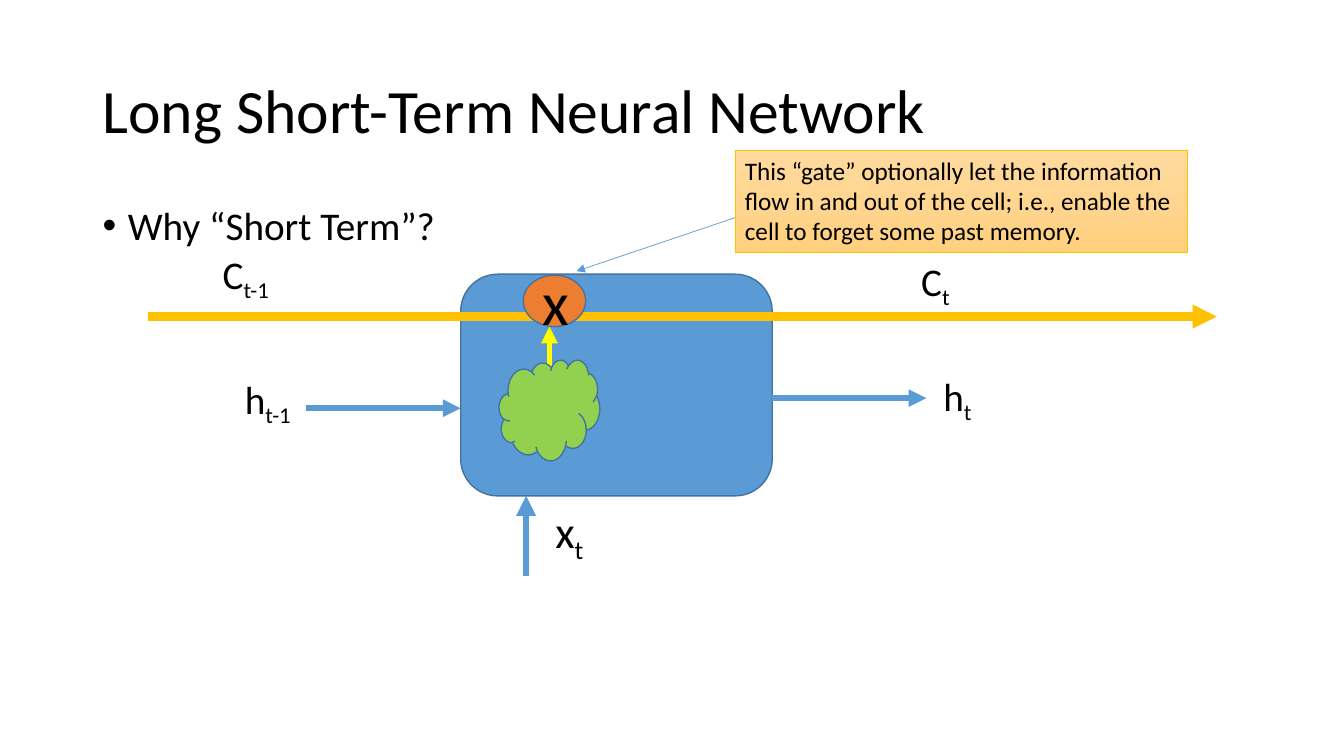
from copy import deepcopy

from pptx import Presentation
from pptx.dml.color import RGBColor
from pptx.enum.shapes import MSO_CONNECTOR, MSO_SHAPE
from pptx.enum.text import MSO_ANCHOR, MSO_AUTO_SIZE, PP_ALIGN
from pptx.oxml.ns import qn
from pptx.util import Inches, Pt

COLORS = {
    "text": "000000", "blue": "5B9BD5", "outline": "43739E", "gold": "FFC000",
    "orange": "ED7D31", "green": "92D050", "yellow": "FFFF00",
}
NOTE_STOPS = [(0, "FFDB9E"), (0.5, "FFD590"), (1, "FFD07C")]

prs = Presentation()
prs.slide_width, prs.slide_height = Inches(13.33), Inches(7.5)
s = prs.slides.add_slide(prs.slide_layouts[6])
COL, ROW = prs.slide_width / 100, prs.slide_height / 100  # 100 x 100 grid


def grid(*lengths):
    """Turn alternating columns and rows into slide lengths."""
    return [round(n * (ROW if i % 2 else COL)) for i, n in enumerate(lengths)]


def write(sp, lines, size, frame=None, para=None):
    """Fill a shape with lines; each line is a text and its subscript."""
    tf = sp.text_frame
    for name, value in (frame or {}).items():
        setattr(tf, name, value)
    for i, line in enumerate(lines):
        p = tf.add_paragraph() if i else tf.paragraphs[0]
        for name, value in {"alignment": PP_ALIGN.LEFT, **(para or {})}.items():
            setattr(p, name, value)
        for level, text in enumerate(line):
            r = p.add_run()
            r.text = text
            for name, value in {"name": "Calibri", "size": Pt(size)}.items():
                setattr(r.font, name, value)
            r.font.color.rgb = RGBColor.from_string(COLORS["text"])
            if level:
                r.font._element.set("baseline", "-25000")


# Title and bullet
title = s.shapes.add_textbox(*grid(6.9, 5.33, 86.25, 19.33))
write(title, [["Long Short-Term Neural Network"]], 44,
      {"word_wrap": True, "vertical_anchor": MSO_ANCHOR.MIDDLE}, {"line_spacing": 0.9})

body = s.shapes.add_textbox(*grid(6.9, 26.67, 86.25, 63.47))
write(body, [["Why “Short Term”?"]], 28, {"word_wrap": True},
      {"line_spacing": 0.9, "space_before": Pt(10)})
pPr = body.text_frame.paragraphs[0]._p.get_or_add_pPr()
pPr.set("marL", str(Inches(0.25)))
pPr.set("indent", str(-Inches(0.25)))
for tag, key, value in [("a:buFont", "typeface", "Arial"), ("a:buChar", "char", "•")]:
    pPr.append(pPr.makeelement(qn(tag), {key: value}))

# Cell, multiply gate, cloud and note
shapes = {}
for name, kind, at, fill, line, width in [
    ("cell", MSO_SHAPE.ROUNDED_RECTANGLE, (34.28, 36.27, 23.18, 29.33), "blue", "outline", 1),
    ("gate", MSO_SHAPE.OVAL, (38.93, 36.4, 4.65, 6.8), "orange", "outline", 1),
    ("cloud", MSO_SHAPE.CLOUD, (37.13, 47.6, 7.5, 13.33), "green", "outline", 1),
    ("note", MSO_SHAPE.RECTANGLE, (54.68, 19.87, 33.68, 13.47), "gold", "gold", 0.5),
]:
    sp = shapes[name] = s.shapes.add_shape(kind, *grid(*at))
    sp.shadow.inherit = False
    sp.fill.solid()
    sp.fill.fore_color.rgb = RGBColor.from_string(COLORS[fill])
    sp.line.color.rgb = RGBColor.from_string(COLORS[line])
    sp.line.width = Pt(width)

    # Arrows lie above the cell and below the other shapes
    if name != "cell":
        continue
    for start, end, color, weight in [
        ((11.03, 41.87), (90.53, 41.87), "gold", 5.75),
        ((22.8, 54), (34.28, 54), "blue", 4.25),
        ((57.45, 52.67), (68.93, 52.67), "blue", 4.25),
        ((39.15, 76.13), (39.15, 65.6), "blue", 4.75),
        ((40.88, 50.67), (40.88, 43.2), "yellow", 4),
        ((55.35, 28.4), (42.9, 35.87), "blue", 0.5),
    ]:
        arrow = s.shapes.add_connector(MSO_CONNECTOR.STRAIGHT, *grid(*start, *end))
        arrow.line.color.rgb = RGBColor.from_string(COLORS[color])
        arrow.line.width = Pt(weight)
        ln = arrow.line._get_or_add_ln()
        ln.append(ln.makeelement(qn("a:tailEnd"), {"type": "triangle"}))
        spPr = arrow._element.spPr
        spPr.append(spPr.makeelement(qn("a:effectLst"), {}))

write(shapes["gate"], [["x"]], 44, {"vertical_anchor": MSO_ANCHOR.MIDDLE},
      {"alignment": PP_ALIGN.CENTER})

note = shapes["note"]
note.fill.gradient()
note.fill.gradient_angle = 270
stops = note._element.spPr.find(".//" + qn("a:gsLst"))
stops.insert(1, deepcopy(stops[0]))
for stop, (position, color) in zip(note.fill.gradient_stops, NOTE_STOPS):
    stop.position = position
    stop.color.rgb = RGBColor.from_string(color)

FIT = {"word_wrap": False, "auto_size": MSO_AUTO_SIZE.SHAPE_TO_FIT_TEXT,
       "vertical_anchor": MSO_ANCHOR.TOP}
write(note, [["This “gate” optionally let the information"],
             ["flow in and out of the cell; i.e., enable the"],
             ["cell to forget some past memory."]], 18, FIT)

# Signal labels
for at, symbol, step, size in [
    ((17.48, 48.93, 5.33, 7.6), "h", "t-1", 28),
    ((69.45, 48.53, 3.68, 7.6), "h", "t", 28),
    ((40.58, 66, 3.75, 8.53), "x", "t", 32),
    ((15.83, 32.4, 5.33, 7.6), "C", "t-1", 28),
    ((67.8, 33.33, 3.75, 7.6), "C", "t", 28),
]:
    write(s.shapes.add_textbox(*grid(*at)), [[symbol, step]], size, FIT)

prs.save("out.pptx")
